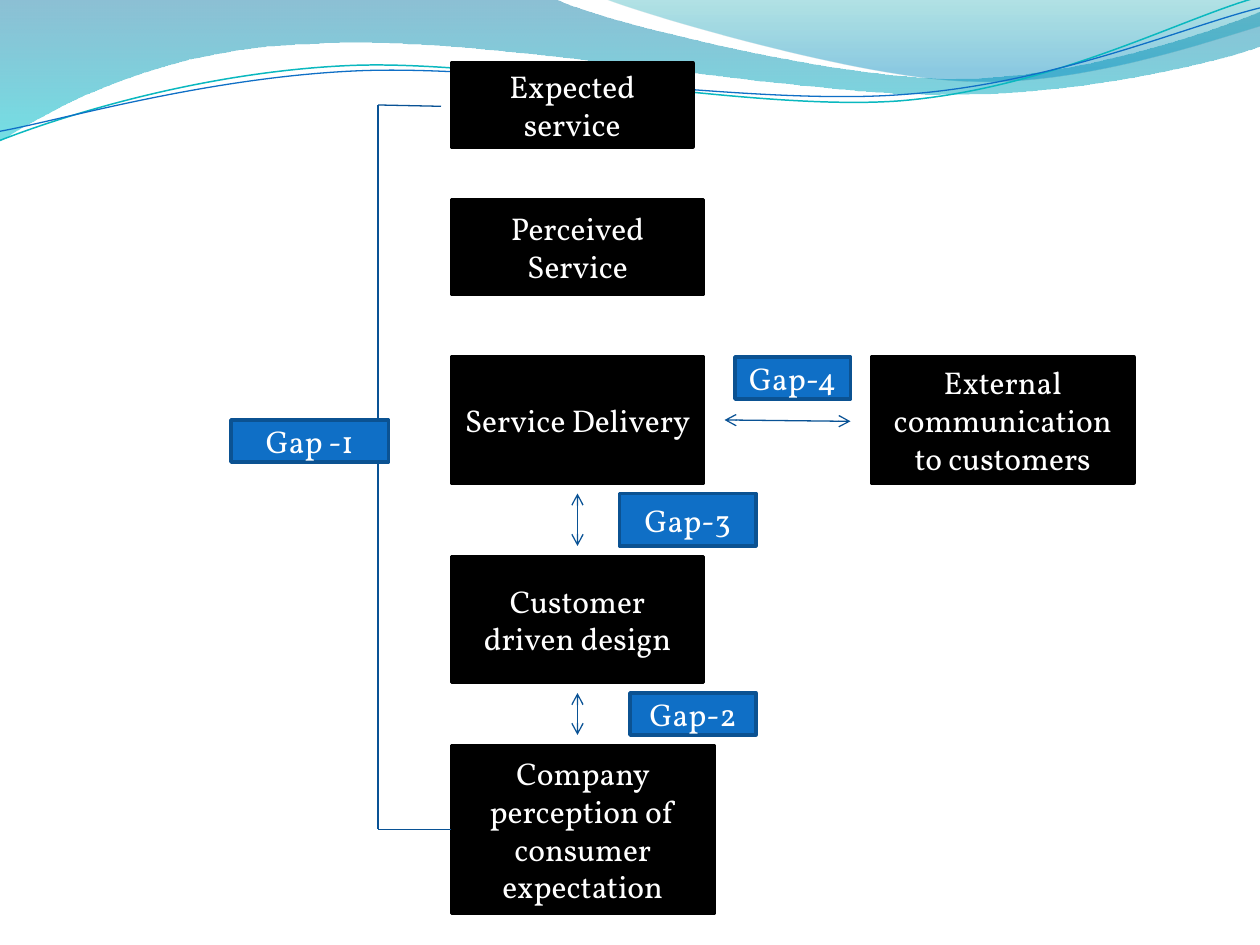
from lxml.etree import SubElement
from pptx import Presentation
from pptx.dml.color import RGBColor
from pptx.enum.shapes import MSO_CONNECTOR, MSO_SHAPE
from pptx.enum.text import MSO_ANCHOR, PP_ALIGN
from pptx.oxml.ns import qn
from pptx.util import Pt

PX = 9525
LEFT = 344
MID = 440
RAIL = 288

BLACK = RGBColor(0x00, 0x00, 0x00)
WHITE = RGBColor(0xFF, 0xFF, 0xFF)
BLUE = RGBColor(0x0F, 0x6F, 0xC6)
EDGE = RGBColor(0x0B, 0x52, 0x92)
LINK = RGBColor(0x09, 0x52, 0x95)
TEAL = RGBColor(0x0A, 0xB8, 0xBF)
DEEP = RGBColor(0x00, 0x74, 0xA1)
AQUA = RGBColor(0x00, 0xC6, 0xCF)
SEA = RGBColor(0x00, 0xA1, 0xA9)
SKY = RGBColor(0x00, 0x8B, 0xBF)

FONT = {"name": "Vollkorn", "size": Pt(18)}
FRAME = {"word_wrap": True, "vertical_anchor": MSO_ANCHOR.MIDDLE}

BANDS = [
    ([(0, 0), (422, -1),
      (457, 16, 637, 60, 728, 60), (819, 60, 920, 25, 960, 9), (961, 35),
      (944, 42, 835, 73, 716, 72), (597, 72, 367, 27, 247, 33),
      (124, 35, 44, 80, -1, 108)],
     [(0, DEEP, 45), (1, AQUA, 55)]),
    ([(460, -1), (489, 11, 655, 60, 738, 62),
      (822, 66, 923, 31, 960, 20), (960, 0)],
     [(0, SEA, 30), (0.8, SKY, 45)]),
]
CURVES = [
    ([(0, 107), (46, 89, 152, 55, 266, 50), (379, 45, 569, 85, 684, 77),
      (800, 68, 900, 14, 958, -2)], TEAL, 0.85),
    ([(0, 100), (45, 92, 157, 59, 272, 54), (387, 49, 573, 81, 688, 72),
      (803, 64, 903, 20, 960, 6)], BLUE, 0.75),
]
BOXES = [
    ("Expected service", LEFT, 48, 184, 64),
    ("Perceived Service", LEFT, 152, 192, 72),
    ("External communication to customers", 664, 272, 200, 96),
    ("Service Delivery", LEFT, 272, 192, 96),
    ("Customer driven design", LEFT, 424, 192, 96),
    ("Company perception of consumer expectation", LEFT, 568, 200, 128),
]
GAPS = [
    ("Gap -1", 176, 320, 120, 32),
    ("Gap-2", 480, 528, 96, 32),
    ("Gap-3", 472, 376, 104, 40),
    ("Gap-4", 560, 272, 88, 32),
]
ARROWS = [(MID, 376, MID, 416), (552, 320, 648, 321), (MID, 528, MID, 560)]


def apply(item, values):
    for key, value in values.items():
        setattr(item, key, value)


def stroke(line, color, width):
    line.color.rgb = color
    line.width = Pt(width)


def bend(shape, steps):
    lines = iter(list(shape._element.iter(qn("a:lnTo"))))
    for step in steps[1:]:
        first = next(lines)
        if len(step) == 2:
            continue
        curve = first.makeelement(qn("a:cubicBezTo"))
        first.addprevious(curve)
        for node in (first, next(lines), next(lines)):
            curve.append(node[0])
            node.getparent().remove(node)


def add_path(slide, steps, close):
    points = [step[i:i + 2] for step in steps for i in range(0, len(step), 2)]
    pen = slide.shapes.build_freeform(*points[0], scale=PX)
    pen.add_line_segments(points[1:], close=close)
    shape = pen.convert_to_shape()
    bend(shape, steps)
    shape.shadow.inherit = False
    return shape


def add_band(slide, steps, stops):
    shape = add_path(slide, steps, True)
    shape.line.fill.background()
    fill = shape.fill
    fill.gradient()
    fill.gradient_angle = 270
    for stop, (place, color, _) in zip(fill.gradient_stops, stops):
        stop.position = place
        stop.color.rgb = color
    tints = shape._element.spPr.iter(qn("a:srgbClr"))
    for tint, (_, _, alpha) in zip(list(tints), stops):
        SubElement(tint, qn("a:alpha"), val=str(alpha * 1000))


def add_curve(slide, steps, color, width):
    shape = add_path(slide, steps, False)
    shape.fill.background()
    stroke(shape.line, color, width)


def add_box(slide, text, x, y, w, h, fill, edge):
    shape = slide.shapes.add_shape(MSO_SHAPE.RECTANGLE, x * PX, y * PX, w * PX, h * PX)
    shape.shadow.inherit = False
    shape.fill.solid()
    shape.fill.fore_color.rgb = fill
    stroke(shape.line, edge, 2)
    frame = shape.text_frame
    apply(frame, FRAME)
    para = frame.paragraphs[0]
    para.alignment = PP_ALIGN.CENTER
    run = para.add_run()
    run.text = text
    apply(run.font, FONT)
    run.font.color.rgb = WHITE
    return shape


def add_link(slide, ends, heads=()):
    link = slide.shapes.add_connector(MSO_CONNECTOR.STRAIGHT, *(n * PX for n in ends))
    stroke(link.line, LINK, 0.75)
    props = link._element.spPr
    for head in heads:
        SubElement(props.find(qn("a:ln")), qn(head), type="arrow")
    SubElement(props, qn("a:effectLst"))
    return link


def main():
    deck = Presentation()
    apply(deck, {"slide_width": 960 * PX, "slide_height": 720 * PX})
    slide = deck.slides.add_slide(deck.slide_layouts[6])
    for band in BANDS:
        add_band(slide, *band)
    for curve in CURVES:
        add_curve(slide, *curve)
    boxes = [add_box(slide, *box, BLACK, BLACK) for box in BOXES]
    add_link(slide, (336, 81, RAIL, 80))
    add_link(slide, (RAIL, 80, RAIL, 632))
    add_link(slide, (RAIL, 632, LEFT, 632)).end_connect(boxes[-1], 1)
    for gap in GAPS:
        add_box(slide, *gap, BLUE, EDGE)
    for ends in ARROWS:
        add_link(slide, ends, ("a:headEnd", "a:tailEnd"))
    deck.save("out.pptx")


if __name__ == "__main__":
    main()
